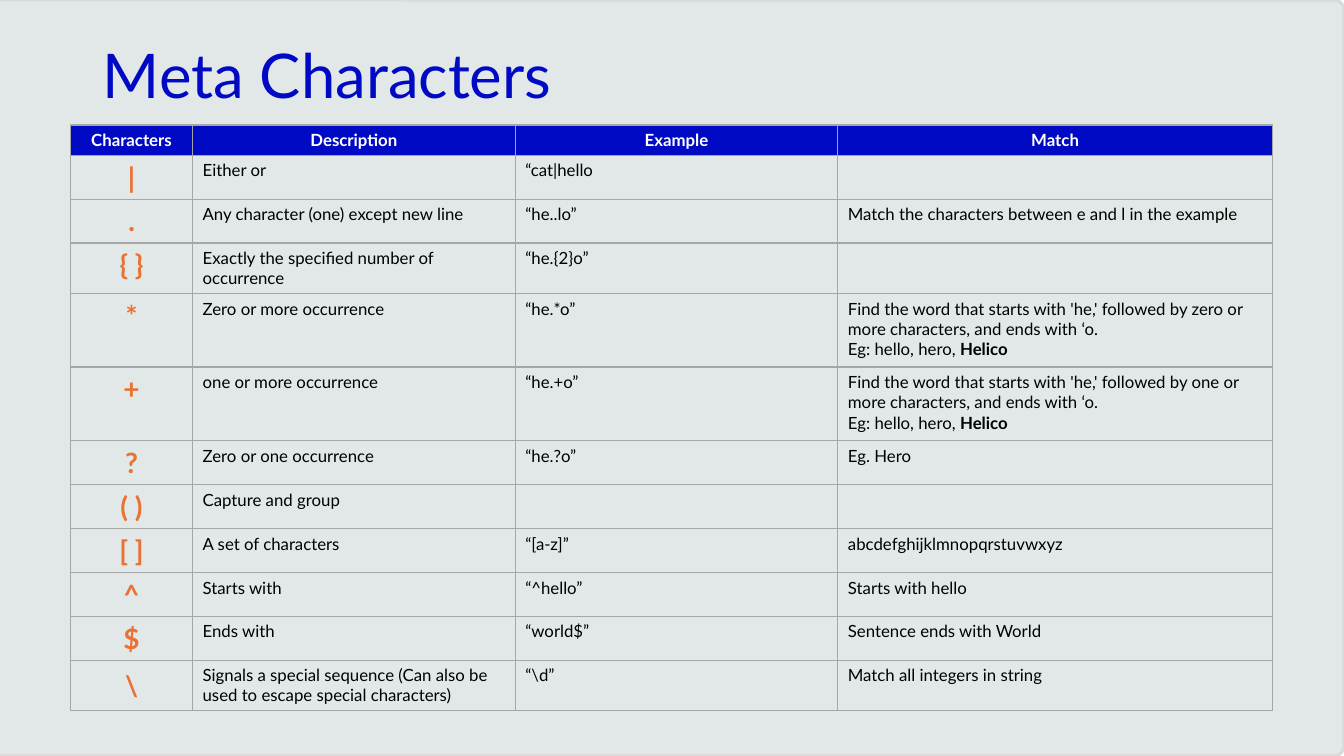
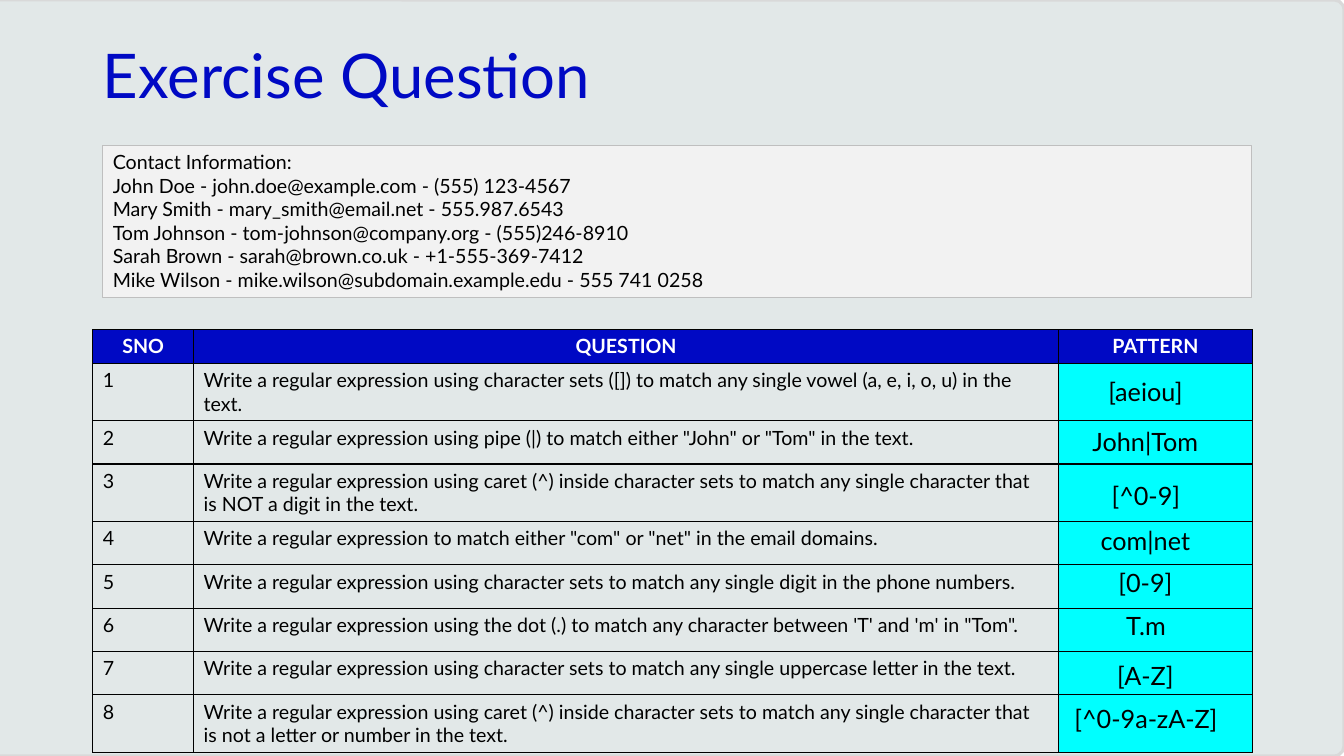
from dataclasses import dataclass
from typing import NamedTuple

from lxml.etree import SubElement
from pptx import Presentation
from pptx.dml.color import RGBColor
from pptx.enum.shapes import MSO_SHAPE
from pptx.enum.text import MSO_ANCHOR, MSO_AUTO_SIZE, PP_ALIGN
from pptx.oxml.ns import qn
from pptx.util import Emu, Pt

EMU_PER_PX = 9144  # 100 px to the inch

FONT = "Lato"
BLUE = RGBColor(0x00, 0x09, 0xC4)
ORANGE = RGBColor(0xE9, 0x71, 0x32)
CYAN = RGBColor(0x00, 0xFF, 0xFF)
BLACK = RGBColor(0x00, 0x00, 0x00)
WHITE = RGBColor(0xFF, 0xFF, 0xFF)
PANEL_FILL = RGBColor(0xE2, 0xE8, 0xE8)
PANEL_LINE = RGBColor(0xD9, 0xD9, 0xD9)
BOX_FILL = RGBColor(0xF2, 0xF2, 0xF2)
BOX_LINE = RGBColor(0xBF, 0xBF, 0xBF)
GRID_GREY = RGBColor(0xA6, 0xA6, 0xA6)
PLAIN_TABLE_STYLE = "{2D5ABB26-0587-4C30-8999-92F81FD0307C}"


class Run(NamedTuple):
    text: str
    bold: bool = False


class TextStyle(NamedTuple):
    size: int
    color: RGBColor = BLACK
    bold: bool = False
    align: PP_ALIGN = PP_ALIGN.LEFT


class Box(NamedTuple):
    """Left, top, width and height in px."""
    left: int
    top: int
    width: int
    height: int


class Answer(NamedTuple):
    text: str
    top: int
    width: int


class MetaChar(NamedTuple):
    symbol: str
    description: str
    example: str = ""
    match: str | list[list[Run]] = ""


@dataclass
class Cell:
    text: str | list[list[Run]]
    style: TextStyle
    fill: RGBColor | None = None
    anchor: MSO_ANCHOR = MSO_ANCHOR.TOP


@dataclass
class Grid:
    left: int
    top: int
    columns: list[int]
    rows: list[int]
    border: RGBColor


def example_match(count: str) -> list[list[Run]]:
    return [
        [Run(f"Find the word that starts with 'he,' followed by {count} or more "
             "characters, and ends with ‘o.")],
        [Run("Eg: hello, hero, "), Run("Helico", True)],
    ]


META_HEADERS = ["Characters", "Description", "Example", "Match"]
META_CHARS = [
    MetaChar("|", "Either or", "“cat|hello"),
    MetaChar(".", "Any character (one) except new line", "“he..lo”",
             "Match the characters between e and l in the example"),
    MetaChar("{ }", "Exactly the specified number of occurrence", "“he.{2}o”"),
    MetaChar("*", "Zero or more occurrence", "“he.*o”", example_match("zero")),
    MetaChar("+", "one or more occurrence", "“he.+o”", example_match("one")),
    MetaChar("?", "Zero or one occurrence", "“he.?o”", "Eg. Hero"),
    MetaChar("( )", "Capture and group"),
    MetaChar("[ ]", "A set of characters", "“[a-z]”", "abcdefghijklmnopqrstuvwxyz"),
    MetaChar("^", "Starts with", "“^hello”", "Starts with hello"),
    MetaChar("$", "Ends with", "“world$”", "Sentence ends with World"),
    MetaChar("\\", "Signals a special sequence (Can also be used to escape special "
             "characters)", "“\\d”", "Match all integers in string"),
]
CENTRED_SYMBOLS = {".", "[ ]", "\\"}
META_GRID = Grid(70, 124, [121, 320, 320, 431],
                 [30, 43, 43, 50, 73, 73, 43, 43, 43, 43, 43, 50], GRID_GREY)

CONTACTS = [
    "Contact Information:",
    "John Doe - john.doe@example.com - (555) 123-4567",
    "Mary Smith - mary_smith@email.net - 555.987.6543",
    "Tom Johnson - tom-johnson@company.org - (555)246-8910",
    "Sarah Brown - sarah@brown.co.uk - +1-555-369-7412",
    "Mike Wilson - mike.wilson@subdomain.example.edu - 555 741 0258",
]
QUESTION_HEADERS = ["SNO", "QUESTION", "PATTERN"]
QUESTIONS = [
    "using character sets ([]) to match any single vowel (a, e, i, o, u) in the text.",
    'using pipe (|) to match either "John" or "Tom" in the text.',
    "using caret (^) inside character sets to match any single character that is NOT "
    "a digit in the text.",
    'to match either "com" or "net" in the email domains.',
    "using character sets to match any single digit in the phone numbers.",
    "using the dot (.) to match any character between 'T' and 'm' in \"Tom\".",
    "using character sets to match any single uppercase letter in the text.",
    "using caret (^) inside character sets to match any single character that is not "
    "a letter or number in the text.",
]
QUESTION_GRID = Grid(92, 327, [100, 858, 192],
                     [33, 57, 43, 57, 43, 43, 43, 43, 57], BLACK)
ANSWERS = [
    Answer("[aeiou]", 368, 112),
    Answer("John|Tom", 418, 160),
    Answer("[^0-9]", 472, 107),
    Answer("com|net", 516, 144),
    Answer("[0-9]", 558, 90),
    Answer("T.m", 601, 69),
    Answer("[A-Z]", 650, 92),
    Answer("[^0-9a-zA-Z]", 693, 169),
]
ANSWER_CENTRE = 1136
ANSWER_HEIGHT = 40


def px(length: int) -> Emu:
    return Emu(length * EMU_PER_PX)


def place(box: Box) -> tuple[Emu, ...]:
    return tuple(px(n) for n in box)


def write(tf, text: str | list[list[Run]], style: TextStyle) -> None:
    paragraphs = [[Run(text)]] if isinstance(text, str) else text
    for i, runs in enumerate(paragraphs):
        p = tf.add_paragraph() if i else tf.paragraphs[0]
        p.alignment = style.align
        for run in runs:
            r = p.add_run()
            r.text = run.text
            r.font.name = FONT
            r.font.size = Pt(style.size)
            r.font.bold = style.bold or run.bold
            r.font.color.rgb = style.color


def add_box(slide, preset: MSO_SHAPE, box: Box, fill: RGBColor, line: RGBColor,
            line_width: float):
    sp = slide.shapes.add_shape(preset, *place(box))
    sp.shadow.inherit = False
    sp.fill.solid()
    sp.fill.fore_color.rgb = fill
    sp.line.color.rgb = line
    sp.line.width = Pt(line_width)
    return sp


def add_titled_slide(prs, layout, title: str):
    slide = prs.slides.add_slide(layout)
    tf = slide.shapes.title.text_frame
    tf.vertical_anchor = MSO_ANCHOR.TOP
    write(tf, title, TextStyle(44, BLUE))
    tf.paragraphs[0].line_spacing = 0.9
    return slide


def move_panel_to_layout(slide, layout) -> None:
    """Draw the shared rounded panel and hand it to the layout, behind all else."""
    panel = add_box(slide, MSO_SHAPE.ROUNDED_RECTANGLE, Box(-12, 0, 1345, 750),
                    PANEL_FILL, PANEL_LINE, 2.25)
    panel.adjustments[0] = 0.013
    layout.shapes.element.insert(2, panel.element)


def set_borders(cell, color: RGBColor) -> None:
    tc_pr = cell._tc.get_or_add_tcPr()
    for i, side in enumerate(("lnL", "lnR", "lnT", "lnB")):
        ln = SubElement(tc_pr, qn(f"a:{side}"), w=str(Pt(1)))
        fill = SubElement(ln, qn("a:solidFill"))
        SubElement(fill, qn("a:srgbClr"), val=str(color))
        tc_pr.insert(i, ln)


def add_grid(slide, grid: Grid, rows: list[list[Cell]]) -> None:
    box = Box(grid.left, grid.top, sum(grid.columns), sum(grid.rows))
    frame = slide.shapes.add_table(len(rows), len(grid.columns), *place(box))
    frame.element.find(f".//{qn('a:tableStyleId')}").text = PLAIN_TABLE_STYLE
    table = frame.table
    table.first_row = table.horz_banding = False
    for column, width in zip(table.columns, grid.columns):
        column.width = px(width)
    for row, height, cells in zip(table.rows, grid.rows, rows):
        row.height = px(height)
        for target, cell in zip(row.cells, cells):
            if cell.text:
                write(target.text_frame, cell.text, cell.style)
            target.vertical_anchor = cell.anchor
            if cell.fill is None:
                target.fill.background()
            else:
                target.fill.solid()
                target.fill.fore_color.rgb = cell.fill
            set_borders(target, grid.border)


def header_row(labels: list[str], size: int) -> list[Cell]:
    style = TextStyle(size, WHITE, True, PP_ALIGN.CENTER)
    return [Cell(label, style, BLUE) for label in labels]


def add_meta_table(slide) -> None:
    symbol_style = TextStyle(20, ORANGE, True, PP_ALIGN.CENTER)
    body = TextStyle(12)
    rows = [header_row(META_HEADERS, 12)]
    for meta in META_CHARS:
        anchor = MSO_ANCHOR.MIDDLE if meta.symbol in CENTRED_SYMBOLS else MSO_ANCHOR.TOP
        rows.append([Cell(meta.symbol, symbol_style, anchor=anchor)]
                    + [Cell(text, body) for text in meta[1:]])
    add_grid(slide, META_GRID, rows)


def add_contacts(slide) -> None:
    sp = add_box(slide, MSO_SHAPE.RECTANGLE, Box(102, 144, 1139, 151),
                 BOX_FILL, BOX_LINE, 0.75)
    tf = sp.text_frame
    tf.word_wrap = True
    tf.auto_size = MSO_AUTO_SIZE.SHAPE_TO_FIT_TEXT
    tf.vertical_anchor = MSO_ANCHOR.TOP
    write(tf, [[Run(line)] for line in CONTACTS], TextStyle(14))


def add_question_table(slide) -> None:
    body = TextStyle(14)
    rows = [header_row(QUESTION_HEADERS, 14)]
    for number, task in enumerate(QUESTIONS, 1):
        rows.append([Cell(str(number), body),
                     Cell(f"Write a regular expression {task}", body),
                     Cell("", body, CYAN)])
    add_grid(slide, QUESTION_GRID, rows)


def add_answer(slide, answer: Answer) -> None:
    box = Box(ANSWER_CENTRE - answer.width // 2, answer.top, answer.width, ANSWER_HEIGHT)
    tf = slide.shapes.add_textbox(*place(box)).text_frame
    tf.word_wrap = False
    tf.auto_size = MSO_AUTO_SIZE.SHAPE_TO_FIT_TEXT
    write(tf, answer.text, TextStyle(18, align=PP_ALIGN.CENTER))


def main() -> None:
    prs = Presentation()
    prs.slide_width, prs.slide_height = px(1333), px(750)
    layout = prs.slide_layouts.get_by_name("Title Only")
    title = layout.placeholders[0]
    title.left, title.top, title.width, title.height = place(Box(92, 40, 1150, 145))

    slide = add_titled_slide(prs, layout, "Meta Characters")
    move_panel_to_layout(slide, layout)
    add_meta_table(slide)

    slide = add_titled_slide(prs, layout, "Exercise Question")
    add_contacts(slide)
    add_question_table(slide)
    for answer in ANSWERS:
        add_answer(slide, answer)

    prs.save("out.pptx")


if __name__ == "__main__":
    main()
